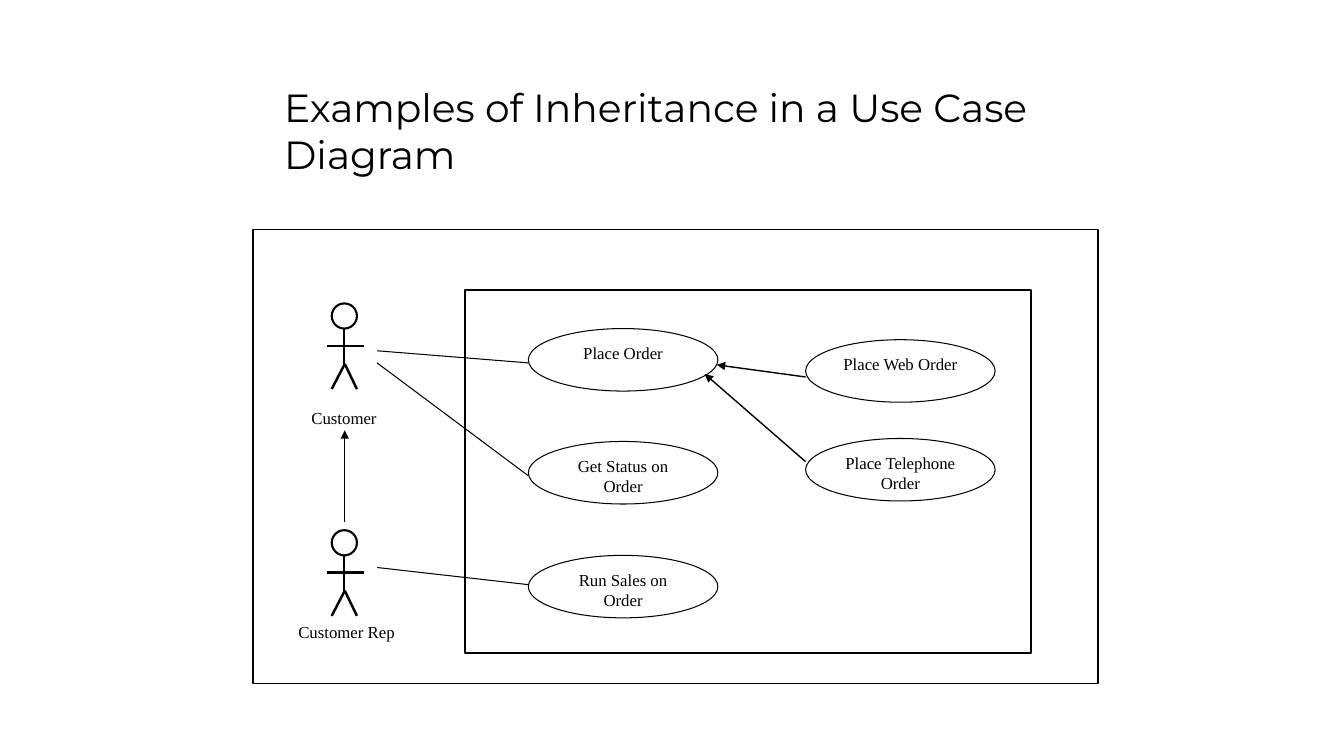
from dataclasses import dataclass

from lxml.etree import SubElement
from pptx import Presentation
from pptx.dml.color import RGBColor
from pptx.enum.shapes import MSO_CONNECTOR as CONN, MSO_SHAPE as SHAPE
from pptx.enum.text import MSO_ANCHOR as ANCHOR, PP_ALIGN as ALIGN
from pptx.oxml.ns import qn
from pptx.util import Inches, Pt


@dataclass(frozen=True)
class Theme:
    ink: RGBColor = RGBColor(0, 0, 0)
    paper: RGBColor = RGBColor(255, 255, 255)
    title_font: str = "Montserrat"
    label_font: str = "Times New Roman"
    title_size: int = 28
    label_size: int = 12
    thin: float = 0.75
    medium: float = 1
    thick: float = 1.5
    leg: float = 1.75


THEME = Theme()
CASE_SIZE = (1.88, 0.62)
CASES = [
    ("Place Order", 5.24, 3.26),
    ("Get Status on Order", 5.24, 4.38),
    ("Run Sales on Order", 5.24, 5.51),
    ("Place Telephone Order", 7.99, 4.35),
    ("Place Web Order", 7.99, 3.37),
]
# name, top of the head, label box
ACTORS = [
    ("Customer", 3.01, (2.99, 4, 1, 0.37)),
    ("Customer Rep", 5.26, (2.86, 6.12, 1.25, 0.37)),
]
ASSOCIATIONS = [
    ((3.74, 3.48), (5.24, 3.6)),
    ((3.74, 3.6), (5.24, 4.72)),
    ((3.74, 5.63), (5.24, 5.8)),
]
GENERALIZATIONS = [
    ((7.99, 3.74), (7.11, 3.62)),
    ((7.99, 4.58), (6.99, 3.71)),
    ((3.42, 5.18), (3.42, 4.27)),
]


def write(sp, text, size, font, align=ALIGN.LEFT, anchor=ANCHOR.TOP):
    tf = sp.text_frame
    tf.word_wrap = True
    tf.vertical_anchor = anchor
    p = tf.paragraphs[0]
    p.text = text
    p.alignment = align
    p.font.size = Pt(size)
    p.font.name = font
    p.font.color.rgb = THEME.ink
    return tf


def add_outline(shapes, kind, box, width, filled=True):
    sp = shapes.add_shape(kind, *map(Inches, box))
    sp.shadow.inherit = False
    if filled:
        sp.fill.solid()
        sp.fill.fore_color.rgb = THEME.paper
    else:
        sp.fill.background()
    sp.line.color.rgb = THEME.ink
    sp.line.width = Pt(width)
    return sp


def add_line(shapes, start, end, width, arrow=False):
    line = shapes.add_connector(CONN.STRAIGHT, *map(Inches, start + end))
    line.line.color.rgb = THEME.ink
    line.line.width = Pt(width)
    if arrow:
        SubElement(line.line._get_or_add_ln(), qn("a:tailEnd"), type="triangle")
    SubElement(line._element.spPr, qn("a:effectLst"))


def add_use_case(shapes, text, left, top):
    sp = add_outline(shapes, SHAPE.OVAL, (left, top, *CASE_SIZE), THEME.thin)
    write(sp, text, THEME.label_size, THEME.label_font, ALIGN.CENTER)


def add_actor(shapes, name, top, label_box):
    """Group a stick figure with its name."""
    parts = shapes.add_group_shape().shapes
    hip = (3.42, top + 0.6)
    add_outline(parts, SHAPE.OVAL, (3.29, top, 0.25, 0.25), THEME.thick)
    add_line(parts, (3.24, top + 0.42), (3.61, top + 0.42), THEME.thick)
    add_line(parts, (3.415, top + 0.25), (3.415, top + 0.61), THEME.thick)
    for foot in (3.29, 3.54):
        add_line(parts, hip, (foot, top + 0.85), THEME.leg)
    label = parts.add_textbox(*map(Inches, label_box))
    write(label, name, THEME.label_size, THEME.label_font)


def add_title(shapes, text):
    box = shapes.add_textbox(*map(Inches, (2.72, 0.81, 8.19, 0.97)))
    tf = write(box, text, THEME.title_size, THEME.title_font, anchor=ANCHOR.BOTTOM)
    tf.margin_top = tf.margin_bottom = Inches(0.02)


def main():
    prs = Presentation()
    prs.slide_width, prs.slide_height = Inches(13.33), Inches(7.5)
    shapes = prs.slides.add_slide(prs.slide_layouts[6]).shapes

    for case in CASES:
        add_use_case(shapes, *case)
    add_outline(shapes, SHAPE.RECTANGLE, (4.61, 2.88, 5.62, 3.6), THEME.thick, filled=False)
    for actor in ACTORS:
        add_actor(shapes, *actor)
    add_outline(shapes, SHAPE.RECTANGLE, (2.51, 2.28, 8.38, 4.5), THEME.medium, filled=False)
    for start, end in ASSOCIATIONS:
        add_line(shapes, start, end, THEME.thin)
    for start, end in GENERALIZATIONS:
        add_line(shapes, start, end, THEME.medium, arrow=True)
    add_title(shapes, "Examples of Inheritance in a Use Case Diagram")

    prs.save("out.pptx")


if __name__ == "__main__":
    main()
